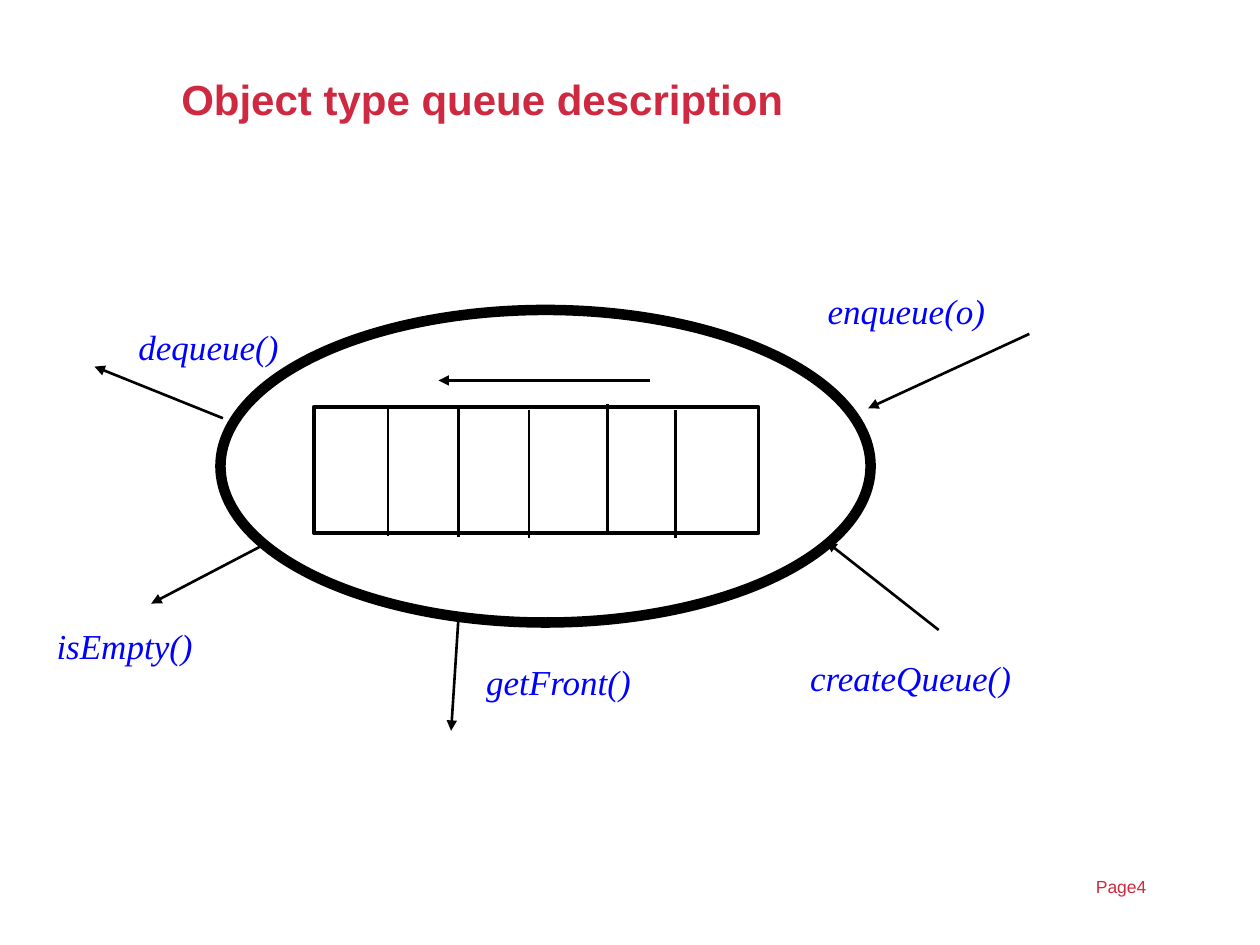
from typing import NamedTuple

from lxml.etree import SubElement
from pptx import Presentation
from pptx.dml.color import RGBColor
from pptx.enum.shapes import MSO_CONNECTOR, MSO_SHAPE
from pptx.enum.text import MSO_ANCHOR
from pptx.oxml.ns import qn
from pptx.util import Pt

BLACK = RGBColor(0x00, 0x00, 0x00)
BLUE = RGBColor(0x00, 0x00, 0xFF)
RED = RGBColor(0xCF, 0x29, 0x41)


class Box(NamedTuple):
    left: float
    top: float
    width: float
    height: float


class Style(NamedTuple):
    font: str
    size: float
    color: RGBColor
    bold: bool = False
    italic: bool = False


class Line(NamedTuple):
    x1: float
    y1: float
    x2: float
    y2: float


class Operation(NamedTuple):
    name: str
    label: Box
    arrow: Line


TITLE = Style("Arial", 24, RED, bold=True)
PAGE = Style("Arial", 10, RED)
LABEL = Style("Times New Roman", 20, BLUE, italic=True)

OPERATIONS = [
    Operation("enqueue(o)", Box(465.8, 162, 104.4, 31), Line(588.2, 190.8, 496.1, 233.3)),
    Operation("dequeue()", Box(72, 182.2, 94.3, 31), Line(127.4, 239, 54, 209.5)),
    Operation("isEmpty()", Box(25.2, 353.5, 92.2, 31), Line(149.8, 311.8, 86.4, 344.9)),
    Operation("getFront()", Box(270.7, 373.7, 97.9, 31), Line(262.1, 351.4, 257.8, 417.6)),
    Operation("createQueue()", Box(455.8, 371.5, 129.6, 31), Line(536.4, 360, 472.3, 309.6)),
]
OBJECT = Box(126, 177.1, 371.5, 178.6)
QUEUE = Box(179.3, 232.6, 254.2, 72)
FLOW = Line(371.5, 217.4, 250.6, 217.4)
DIVIDER_HEIGHT = 73.6
# (x, top) of each line between two cells
DIVIDERS = [(221.8, 232.6), (262.1, 233.3), (302.4, 234), (347, 231.1), (385.9, 234)]


def add_text(s, text: str, box: Box, style: Style, wrap: bool = True,
             anchor=MSO_ANCHOR.TOP, spacing: float = 1.0) -> None:
    tf = s.shapes.add_textbox(*map(Pt, box)).text_frame
    tf.word_wrap = wrap
    tf.vertical_anchor = anchor
    p = tf.paragraphs[0]
    p.line_spacing = spacing
    r = p.add_run()
    r.text = text
    r.font.name = style.font
    r.font.size = Pt(style.size)
    r.font.bold = style.bold
    r.font.italic = style.italic
    r.font.color.rgb = style.color


def add_outline(s, kind, box: Box, weight: float) -> None:
    sp = s.shapes.add_shape(kind, *map(Pt, box))
    sp.shadow.inherit = False
    sp.fill.background()
    sp.line.color.rgb = BLACK
    sp.line.width = Pt(weight)


def add_line(s, line: Line, arrow: bool = False) -> None:
    cxn = s.shapes.add_connector(MSO_CONNECTOR.STRAIGHT, *map(Pt, line))
    cxn.line.color.rgb = BLACK
    cxn.line.width = Pt(1.5)
    if arrow:
        SubElement(cxn.line._get_or_add_ln(), qn("a:tailEnd"), type="triangle")
    SubElement(cxn._element.spPr, qn("a:effectLst"))


def main() -> None:
    prs = Presentation()
    prs.slide_width, prs.slide_height = Pt(720), Pt(540)
    s = prs.slides.add_slide(prs.slide_layouts[6])

    add_text(s, "Page4", Box(619.2, 496.8, 86.4, 20.2), PAGE)
    add_outline(s, MSO_SHAPE.OVAL, OBJECT, 6)
    for op in OPERATIONS:
        add_line(s, op.arrow, arrow=True)
        add_text(s, op.name, op.label, LABEL, wrap=False)

    add_outline(s, MSO_SHAPE.RECTANGLE, QUEUE, 2.25)
    for x, top in DIVIDERS:
        add_line(s, Line(x, top, x, top + DIVIDER_HEIGHT))
    add_line(s, FLOW, arrow=True)

    add_text(s, "Object type queue description", Box(96.5, 28.8, 574.6, 59), TITLE,
             anchor=MSO_ANCHOR.MIDDLE, spacing=0.9)
    prs.save("out.pptx")


if __name__ == "__main__":
    main()
